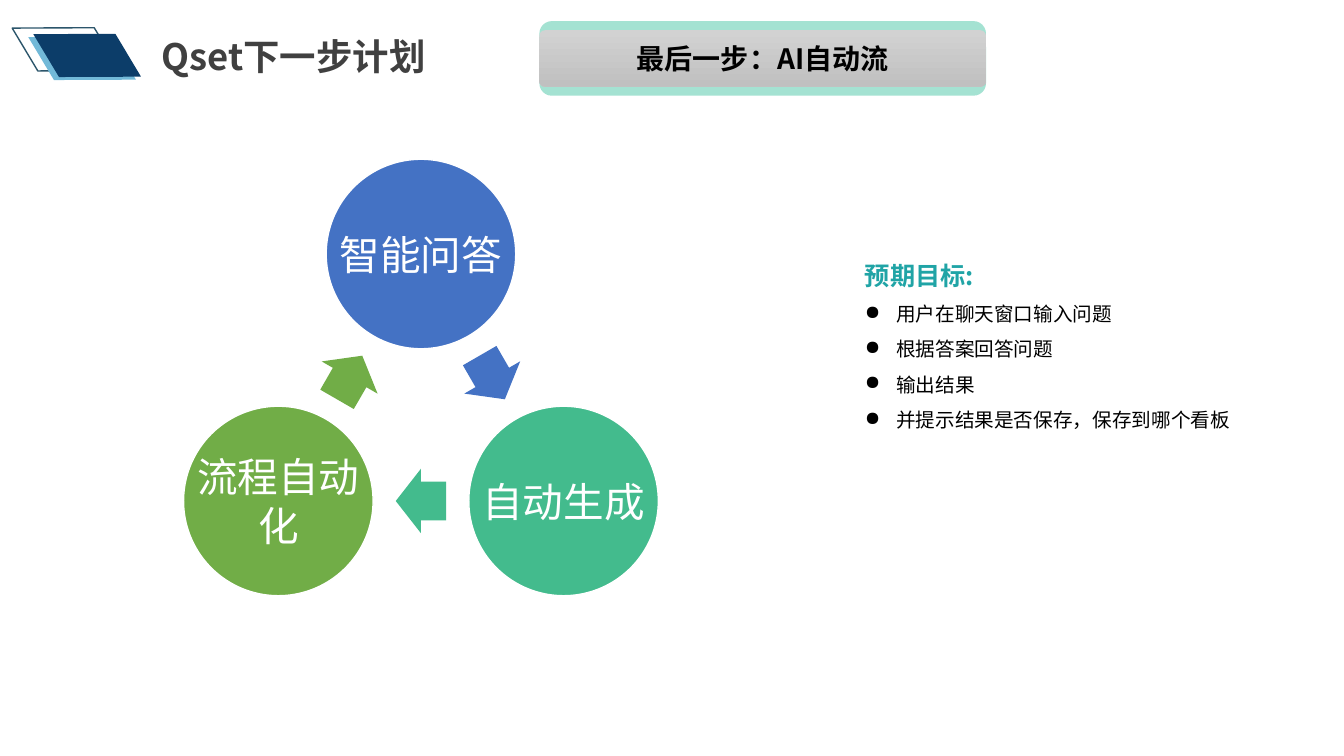
from math import cos, radians, sin

from lxml.etree import SubElement
from pptx import Presentation
from pptx.dml.color import RGBColor
from pptx.enum.shapes import MSO_SHAPE as Preset
from pptx.enum.text import MSO_ANCHOR as Anchor, MSO_AUTO_SIZE as AutoSize, PP_ALIGN as Align
from pptx.oxml.ns import qn
from pptx.util import Inches, Pt

FONT = "Noto Sans CJK SC"
COLORS = {
    "navy": "0C3D69", "sky": "72B9D8", "outline": "2C556B",
    "title": "404040", "mint": "A4E2D2", "silver": "D2D2D2", "grey": "C0C0C0",
    "blue": "4472C4", "teal": "43BB8D", "green": "71AD47",
    "goal": "20A4A6", "black": "000000", "white": "FFFFFF",
}
TITLE = {"size": Pt(26), "bold": True}
BANNER = {"size": Pt(20), "bold": True}
STAGE = {"size": Pt(29), "bold": False}
GOAL_HEAD = {"size": Pt(18), "bold": True}
GOAL_ITEM = {"size": Pt(14), "bold": False}
PADDINGS = ("margin_left", "margin_top", "margin_right", "margin_bottom")


def color(name):
    return RGBColor.from_string(COLORS[name])


def apply(target, values):
    for key, value in values.items():
        setattr(target, key, value)


def write(paragraph, text, font_format, color_name, **layout):
    run = paragraph.add_run()
    run.text = text
    apply(run.font, {"name": FONT, **font_format})
    run.font.color.rgb = color(color_name)
    SubElement(run.font._element, qn("a:ea"), typeface=FONT)
    apply(paragraph, layout)


def set_frame(frame, padding=None, **values):
    margins = {} if padding is None else dict.fromkeys(PADDINGS, Inches(padding))
    apply(frame, {"word_wrap": True, **margins, **values})


def add_preset(slide, preset, box, fill=None, line=None, rotation=0, adjustments=()):
    shape = slide.shapes.add_shape(preset, *map(Inches, box))
    shape.shadow.inherit = False
    shape.rotation = rotation
    for index, value in enumerate(adjustments):
        shape.adjustments[index] = value
    if fill:
        shape.fill.solid()
        shape.fill.fore_color.rgb = color(fill)
    else:
        shape.fill.background()
    if line:
        shape.line.color.rgb = color(line)
        shape.line.width = Pt(1)
    else:
        shape.line.fill.background()
    return shape


def add_heading(slide, text, box):
    left, top, width, height = box
    for dx, dy, fill, line in ((0, 0, None, "outline"), (0.16, 0.09, "sky", None),
                               (0.21, 0.06, "navy", None)):
        add_preset(slide, Preset.PARALLELOGRAM, (left + dx, top + dy, 0.91, 0.7),
                   fill, line, 59.1, (0.592,))
    title = slide.shapes.title
    apply(title, {"left": Inches(left + 1.3), "top": Inches(top + 0.15),
                  "width": Inches(width - 1.3), "height": Inches(height)})
    set_frame(title.text_frame, vertical_anchor=Anchor.TOP,
              auto_size=AutoSize.SHAPE_TO_FIT_TEXT)
    write(title.text_frame.paragraphs[0], text, TITLE, "title", alignment=Align.LEFT)


def add_banner(slide, text, box):
    left, top, width, height = box
    add_preset(slide, Preset.ROUNDED_RECTANGLE, box, "mint")
    plate = add_preset(slide, Preset.ROUNDED_RECTANGLE,
                       (left, top + 0.09, width, height - 0.18), adjustments=(0.1,))
    plate.fill.gradient()
    plate.fill.gradient_angle = 270
    for stop, name, position in zip(plate.fill.gradient_stops, ("silver", "grey"), (0, 1)):
        stop.color.rgb = color(name)
        stop.position = position
    set_frame(plate.text_frame, 0.08, vertical_anchor=Anchor.MIDDLE)
    write(plate.text_frame.paragraphs[0], text, BANNER, "black", alignment=Align.CENTER)


def add_cycle(slide, stages, box):
    left, top, width, height = box
    diameter = 1.88
    radius = (height - diameter) / 1.5
    step = 360 / len(stages)
    angles = [radians(step * index - 90) for index in range(len(stages))]
    centers = [(left + width / 2 + radius * cos(angle),
                top + diameter / 2 + radius * (1 + sin(angle))) for angle in angles]
    for index, ((text, fill), (x, y)) in enumerate(zip(stages, centers)):
        circle = (x - diameter / 2, y - diameter / 2, diameter, diameter)
        add_preset(slide, Preset.OVAL, circle, fill, "white")
        label = slide.shapes.add_textbox(*map(Inches, circle)).text_frame
        set_frame(label, 0.04, vertical_anchor=Anchor.MIDDLE)
        write(label.paragraphs[0], text, STAGE, "white", alignment=Align.CENTER)
        next_x, next_y = centers[(index + 1) % len(centers)]
        add_preset(slide, Preset.RIGHT_ARROW,
                   ((x + next_x) / 2 - 0.25, (y + next_y) / 2 - 0.32, 0.5, 0.64),
                   fill, rotation=step * (index + 0.5), adjustments=(0.6, 0.5))


def add_goals(slide, heading, goals, box):
    frame = slide.shapes.add_textbox(*map(Inches, box)).text_frame
    set_frame(frame)
    write(frame.paragraphs[0], heading, GOAL_HEAD, "goal", line_spacing=1.5)
    for goal in goals:
        paragraph = frame.add_paragraph()
        write(paragraph, goal, GOAL_ITEM, "black", line_spacing=1.5)
        properties = paragraph._p.get_or_add_pPr()
        properties.set("marL", str(Inches(0.31)))
        properties.set("indent", str(-Inches(0.31)))
        SubElement(properties, qn("a:buChar"), char="●")


def main():
    deck = Presentation()
    apply(deck, {"slide_width": Inches(13.33), "slide_height": Inches(7.5)})
    slide = deck.slides.add_slide(deck.slide_layouts[5])
    add_heading(slide, "Qset下一步计划", (0.2, 0.14, 4.58, 0.54))
    add_banner(slide, "最后一步：AI自动流", (5.35, 0.21, 4.43, 0.74))
    add_goals(slide, "预期目标:",
              ("用户在聊天窗口输入问题", "根据答案回答问题", "输出结果",
               "并提示结果是否保存，保存到哪个看板"),
              (8.48, 2.38, 4.43, 2.54))
    add_cycle(slide, (("智能问答", "blue"), ("自动生成", "teal"), ("流程自动化", "green")),
              (1.82, 1.58, 4.71, 4.33))
    deck.save("out.pptx")


if __name__ == "__main__":
    main()
